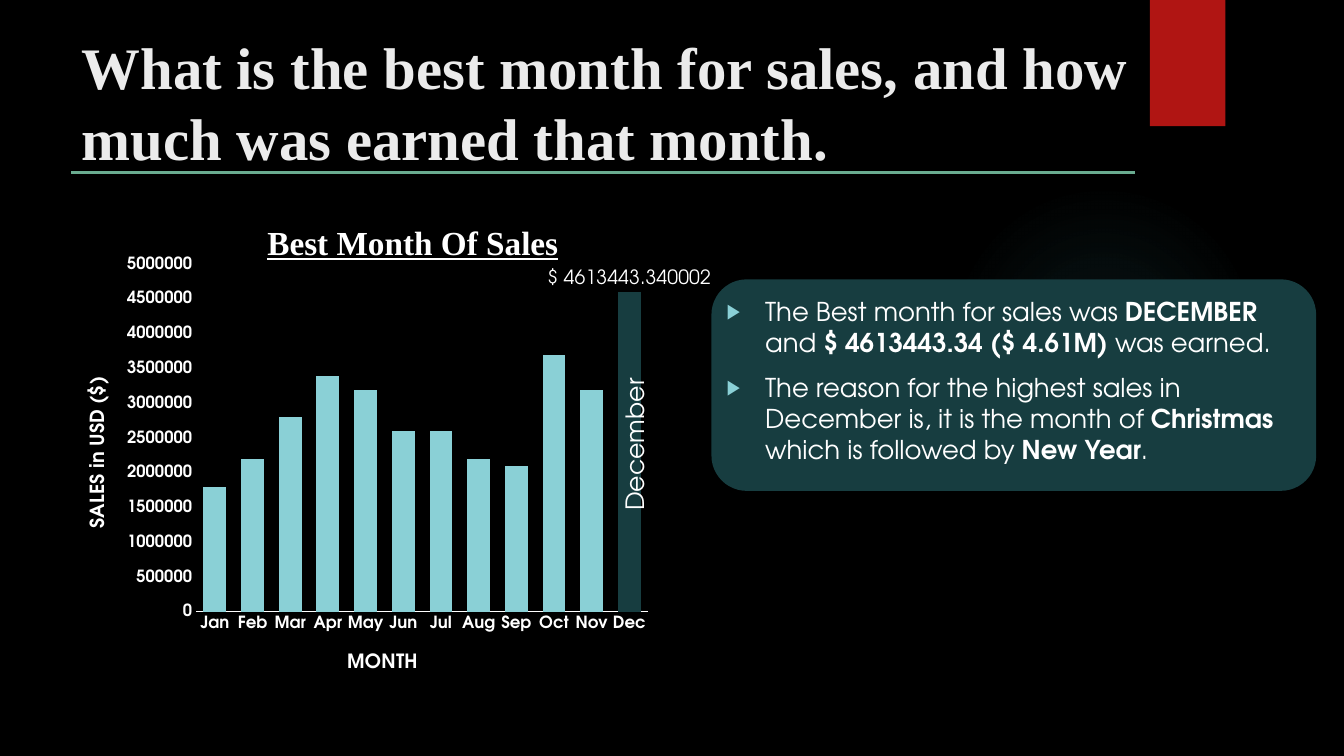
from dataclasses import dataclass

from lxml import etree
from pptx import Presentation
from pptx.chart.data import CategoryChartData
from pptx.dml.color import RGBColor
from pptx.enum.chart import XL_CHART_TYPE, XL_LABEL_POSITION, XL_TICK_MARK
from pptx.enum.shapes import MSO_CONNECTOR, MSO_SHAPE
from pptx.enum.text import MSO_ANCHOR, MSO_AUTO_SIZE, PP_ALIGN
from pptx.oxml import parse_xml
from pptx.oxml.ns import nsdecls, qn
from pptx.util import Cm, Pt

COLUMN = XL_CHART_TYPE.COLUMN_CLUSTERED
OUTSIDE_END = XL_LABEL_POSITION.OUTSIDE_END
NO_TICK = XL_TICK_MARK.NONE
STRAIGHT = MSO_CONNECTOR.STRAIGHT
OVAL, RECT, ROUNDED = MSO_SHAPE.OVAL, MSO_SHAPE.RECTANGLE, MSO_SHAPE.ROUNDED_RECTANGLE
TOP, MIDDLE = MSO_ANCHOR.TOP, MSO_ANCHOR.MIDDLE
NO_AUTOFIT = MSO_AUTO_SIZE.NONE
LEFT = PP_ALIGN.LEFT

BLACK = RGBColor(0x00, 0x00, 0x00)
WHITE = RGBColor(0xFF, 0xFF, 0xFF)
OFF_WHITE = RGBColor(0xEB, 0xEB, 0xEB)
RED = RGBColor(0xB0, 0x15, 0x13)
DARK_TEAL = RGBColor(0x17, 0x3D, 0x40)
AQUA = RGBColor(0x8A, 0xD0, 0xD6)
GREEN = RGBColor(0x6A, 0xAC, 0x90)
GLOW = RGBColor(0x50, 0xB9, 0xC1)

SERIF = "Times New Roman"
SANS = "TeX Gyre Adventor"


@dataclass(frozen=True)
class Box:
    left: float
    top: float
    width: float
    height: float

    def lengths(self) -> tuple:
        return Cm(self.left), Cm(self.top), Cm(self.width), Cm(self.height)


@dataclass(frozen=True)
class Panel:
    preset: MSO_SHAPE
    box: Box
    color: RGBColor


@dataclass(frozen=True)
class Phrase:
    text: str
    bold: bool = False


PANELS = [
    Panel(OVAL, Box(23.9, 4.65, 7.82, 7.82), GLOW),
    Panel(RECT, Box(28.98, 0, 1.9, 3.18), RED),
    Panel(ROUNDED, Box(17.93, 7.04, 15.24, 5.33), DARK_TEAL),
]
TITLE_BOX = Box(1.8, 0.61, 27.08, 3.89)
FINDINGS_BOX = Box(18.06, 7.32, 14.88, 5.18)
CHART_BOX = Box(1.8, 4.5, 16.13, 13.13)
DECEMBER_BOX = Box(14.05, 10.67, 3.89, 1.02)
GLOW_STOPS = [(0, 7), (36, 6), (69, 0)]
FINDINGS = [
    [
        Phrase("The Best month for sales was "),
        Phrase("DECEMBER", True),
        Phrase(" and "),
        Phrase("$ 4613443.34 ($ 4.61M) ", True),
        Phrase("was earned."),
    ],
    [
        Phrase("The reason for the highest sales in December is, it is the month of "),
        Phrase("Christmas", True),
        Phrase(" which is followed by "),
        Phrase("New Year", True),
        Phrase("."),
    ],
]
MONTHS = ["Jan", "Feb", "Mar", "Apr", "May", "Jun",
          "Jul", "Aug", "Sep", "Oct", "Nov", "Dec"]
SALES = [1800000, 2200000, 2800000, 3400000, 3200000, 2600000,
         2600000, 2200000, 2100000, 3700000, 3200000, 4600000]


def style(font, size: float, color: RGBColor, name: str, bold: bool = False) -> None:
    font.size, font.name, font.bold = Pt(size), name, bold
    font.color.rgb = color


def draw_panel(slide, panel: Panel):
    shape = slide.shapes.add_shape(panel.preset, *panel.box.lengths())
    shape.shadow.inherit = False
    shape.fill.solid()
    shape.fill.fore_color.rgb = panel.color
    shape.line.fill.background()
    return shape


def fade_out(shape, color: RGBColor) -> None:
    stops = "".join(
        f'<a:gs pos="{position * 1000}"><a:srgbClr val="{color}">'
        f'<a:alpha val="{alpha * 1000}"/></a:srgbClr></a:gs>'
        for position, alpha in GLOW_STOPS
    )
    gradient = parse_xml(
        f'<a:gradFill {nsdecls("a")}><a:gsLst>{stops}</a:gsLst><a:path path="circle">'
        '<a:fillToRect l="50000" t="50000" r="50000" b="50000"/></a:path></a:gradFill>'
    )
    properties = shape._element.spPr
    properties.replace(properties.find(qn("a:solidFill")), gradient)


def place(slide, placeholder, box: Box, anchor: MSO_ANCHOR):
    placeholder.left, placeholder.top, placeholder.width, placeholder.height = box.lengths()
    slide.shapes._spTree.append(placeholder._element)
    frame = placeholder.text_frame
    frame.word_wrap = True
    frame.auto_size = NO_AUTOFIT
    frame.vertical_anchor = anchor
    return frame


def add_bullet(paragraph) -> None:
    properties = paragraph._p.get_or_add_pPr()
    properties.set("marL", str(Cm(0.97)))
    properties.set("indent", str(-Cm(0.97)))
    color = etree.SubElement(properties, qn("a:buClr"))
    etree.SubElement(color, qn("a:srgbClr"), val=str(AQUA))
    etree.SubElement(properties, qn("a:buSzPct"), val="80000")
    etree.SubElement(properties, qn("a:buChar"), char="▶")


def write_findings(frame) -> None:
    for index, phrases in enumerate(FINDINGS):
        paragraph = frame.add_paragraph() if index else frame.paragraphs[0]
        add_bullet(paragraph)
        paragraph.alignment = LEFT
        paragraph.space_before = Pt(10)
        style(paragraph.font, 18.5, WHITE, SANS)
        for phrase in phrases:
            run = paragraph.add_run()
            run.text = phrase.text
            run.font.bold = phrase.bold


def manual_layout(parent, index: int, target: str = "", **fractions: float) -> None:
    for current in parent.findall(qn("c:layout")):
        parent.remove(current)
    layout = etree.Element(qn("c:layout"))
    manual = etree.SubElement(layout, qn("c:manualLayout"))
    if target:
        etree.SubElement(manual, qn("c:layoutTarget"), val=target)
    for mode in ("xMode", "yMode"):
        etree.SubElement(manual, qn(f"c:{mode}"), val="edge")
    for key, fraction in fractions.items():
        etree.SubElement(manual, qn(f"c:{key}"), val=str(fraction))
    parent.insert(index, layout)


def write_chart_title(title, text: str, size: float, name: str, x: float, y: float):
    title.text_frame.text = text
    font = title.text_frame.paragraphs[0].font
    style(font, size, WHITE, name, True)
    manual_layout(title._element, 1, x=x, y=y)
    return font


def draw_chart(slide) -> None:
    data = CategoryChartData()
    data.categories = MONTHS
    data.add_series("Series 1", SALES)
    chart = slide.shapes.add_chart(COLUMN, *CHART_BOX.lengths(), data).chart
    chart.has_legend = False
    style(chart.font, 10, WHITE, SANS)
    heading = write_chart_title(chart.chart_title, "Best Month Of Sales", 24, SERIF, 0.3, 0.07)
    heading.underline = True
    manual_layout(chart._chartSpace.chart.plotArea, 0, "inner", x=0.197, y=0.165, w=0.714, h=0.667)

    months, dollars = chart.category_axis, chart.value_axis
    for axis in (months, dollars):
        axis.major_tick_mark = axis.minor_tick_mark = NO_TICK
        axis.has_major_gridlines = False
        style(axis.tick_labels.font, 12, WHITE, SANS, True)
    months.format.line.color.rgb = WHITE
    months.format.line.width = Pt(0.75)
    dollars.format.line.fill.background()
    dollars.minimum_scale, dollars.maximum_scale, dollars.major_unit = 0, 5000000, 500000
    write_chart_title(months.axis_title, "MONTH", 14, SANS, 0.43, 0.9)
    write_chart_title(dollars.axis_title, "SALES in USD ($)", 14, SANS, 0.02, 0.37)
    dollars.axis_title._element.find(".//" + qn("a:bodyPr")).set("rot", "-5400000")

    plot = chart.plots[0]
    plot.vary_by_categories = False
    plot.gap_width, plot.overlap = 64, -29
    sales = plot.series[0]
    december = sales.points[len(MONTHS) - 1]
    for part, color in ((sales, AQUA), (december, DARK_TEAL)):
        part.format.fill.solid()
        part.format.fill.fore_color.rgb = color
    label = december.data_label
    label.text_frame.text = "$ 4613443.340002"
    label.text_frame.word_wrap = False
    style(label.text_frame.paragraphs[0].runs[0].font, 14, WHITE, SANS)
    label.position = OUTSIDE_END


def main() -> None:
    deck = Presentation()
    deck.slide_width, deck.slide_height = Cm(33.87), Cm(19.05)
    slide = deck.slides.add_slide(deck.slide_layouts[1])
    slide.background.fill.solid()
    slide.background.fill.fore_color.rgb = BLACK

    glow, *_ = [draw_panel(slide, panel) for panel in PANELS]
    fade_out(glow, GLOW)

    heading = place(slide, slide.shapes.title, TITLE_BOX, MIDDLE)
    heading.text = "What is the best month for sales, and how much was earned that month."
    heading.paragraphs[0].alignment = LEFT
    style(heading.paragraphs[0].font, 42, OFF_WHITE, SERIF, True)
    write_findings(place(slide, slide.placeholders[1], FINDINGS_BOX, TOP))

    underline = slide.shapes.add_connector(STRAIGHT, Cm(1.8), Cm(4.34), Cm(28.6), Cm(4.34))
    underline.line.color.rgb = GREEN
    underline.line.width = Pt(2.25)
    etree.SubElement(underline._element.spPr, qn("a:effectLst"))

    draw_chart(slide)

    december = slide.shapes.add_textbox(*DECEMBER_BOX.lengths())
    december.rotation = 270
    december.text_frame.word_wrap = False
    december.text_frame.text = "December"
    style(december.text_frame.paragraphs[0].font, 18, WHITE, SANS)
    deck.save("out.pptx")


if __name__ == "__main__":
    main()
